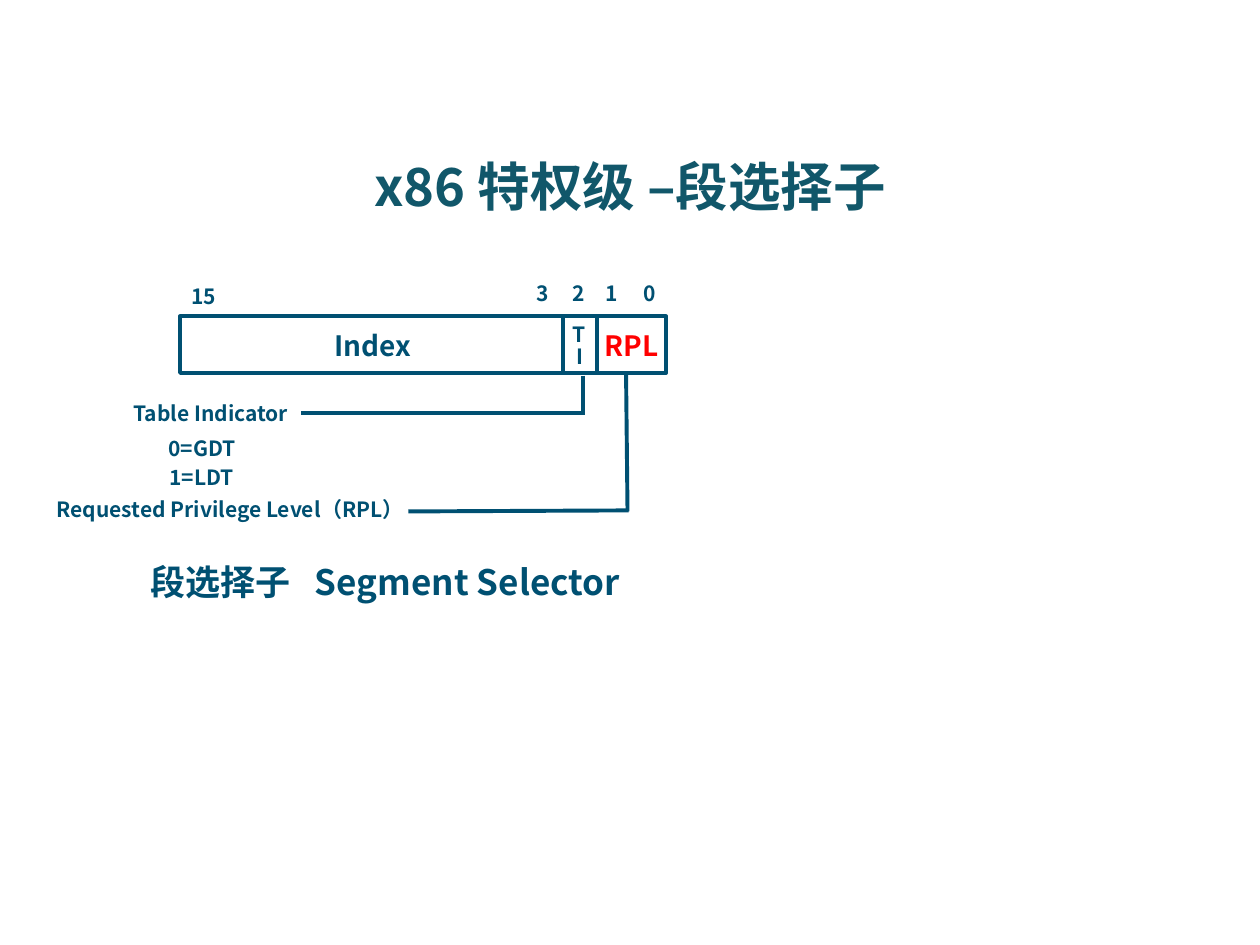
"""Build the slide on the x86 segment selector and its bit fields."""
from lxml import etree
from pptx import Presentation
from pptx import util as u
from pptx.dml.color import RGBColor
from pptx.enum import shapes, text
from pptx.oxml import ns

FONT = "Noto Sans CJK SC"
BLUE = RGBColor(0x00, 0x50, 0x72)
TEAL = RGBColor(0x11, 0x57, 0x6A)
RED = RGBColor(0xFF, 0x00, 0x00)


def write(box, place, words, size, color, align):
    for name, value in zip(("left", "top", "width", "height"), place):
        setattr(box, name, u.Cm(value))
    frame = box.text_frame
    for name, value in {"word_wrap": True, "vertical_anchor": text.MSO_ANCHOR.TOP}.items():
        setattr(frame, name, value)
    para = frame.paragraphs[0]
    para.alignment = align
    span = para.add_run()
    span.text = words
    for name, value in {"name": FONT, "size": u.Pt(size), "bold": True}.items():
        setattr(span.font, name, value)
    span.font.color.rgb = color
    etree.SubElement(span.font._element, ns.qn("a:ea"), typeface=FONT)


def outline(line):
    line.color.rgb = BLUE
    line.width = u.Pt(2.25)


deck = Presentation()
deck.slide_width, deck.slide_height = u.Cm(25.4), u.Cm(19.05)
page = deck.slides.add_slide(deck.slide_layouts[5])
write(page.shapes.title, (0, 2.97, 25.4, 1.55), "x86 特权级 –段选择子", 30, TEAL,
      text.PP_ALIGN.CENTER)

register = page.shapes.add_shape(shapes.MSO_SHAPE.RECTANGLE, u.Cm(3.63), u.Cm(6.38),
                                 u.Cm(9.8), u.Cm(1.14))
register.shadow.inherit = False
register.fill.background()
outline(register.line)

dividers = [(11.35, 6.35, 11.35, 7.49), (12.04, 6.38, 12.04, 7.54)]
indicator_leader = [(11.76, 7.57, 11.76, 8.31), (11.79, 8.33, 6.07, 8.33)]
privilege_leader = [(12.62, 7.49, 12.65, 10.31), (12.67, 10.29, 8.23, 10.31)]
for ends in dividers + indicator_leader + privilege_leader:
    connector = page.shapes.add_connector(shapes.MSO_CONNECTOR.STRAIGHT, *map(u.Cm, ends))
    outline(connector.line)
    etree.SubElement(connector._element.spPr, ns.qn("a:effectLst"))

fields = [
    ("Index", 6.5, 6.5, 3.53, 16, BLUE),
    ("T", 11.3, 6.35, 0.81, 12, BLUE),
    ("I", 11.38, 6.81, 0.81, 12, BLUE),
    ("RPL", 11.94, 6.5, 1.8, 16, RED),
]
bits = [
    ("15", 3.61, 5.59, 1.24, 12, BLUE),
    ("3", 10.57, 5.54, 0.74, 12, BLUE),
    ("2", 11.3, 5.54, 0.74, 12, BLUE),
    ("1", 11.96, 5.54, 0.74, 12, BLUE),
    ("0", 12.73, 5.54, 0.74, 12, BLUE),
]
notes = [
    ("Table Indicator", 2.44, 7.95, 4.32, 12, BLUE),
    ("0=GDT", 3.15, 8.66, 2.18, 12, BLUE),
    ("1=LDT", 3.17, 9.25, 2.18, 12, BLUE),
    ("Requested Privilege Level（RPL）", 0.89, 9.88, 13.89, 12, BLUE),
    ("段选择子   Segment Selector", 2.79, 11.18, 10.64, 20, BLUE),
]
heights = {12: 0.76, 16: 0.94, 20: 1.12}
for words, left, top, width, size, color in fields + bits + notes:
    box = page.shapes.add_textbox(0, 0, 0, 0)
    write(box, (left, top, width, heights[size]), words, size, color, text.PP_ALIGN.LEFT)

deck.save("out.pptx")
